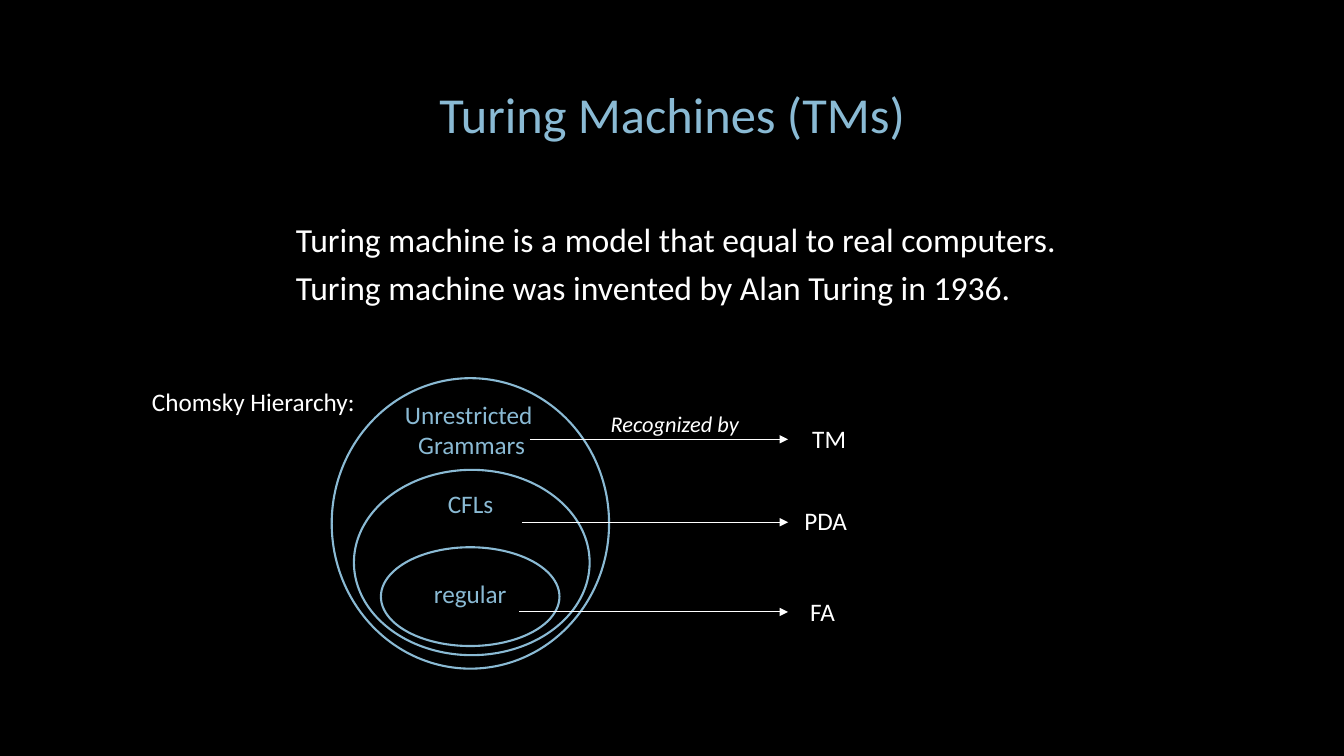
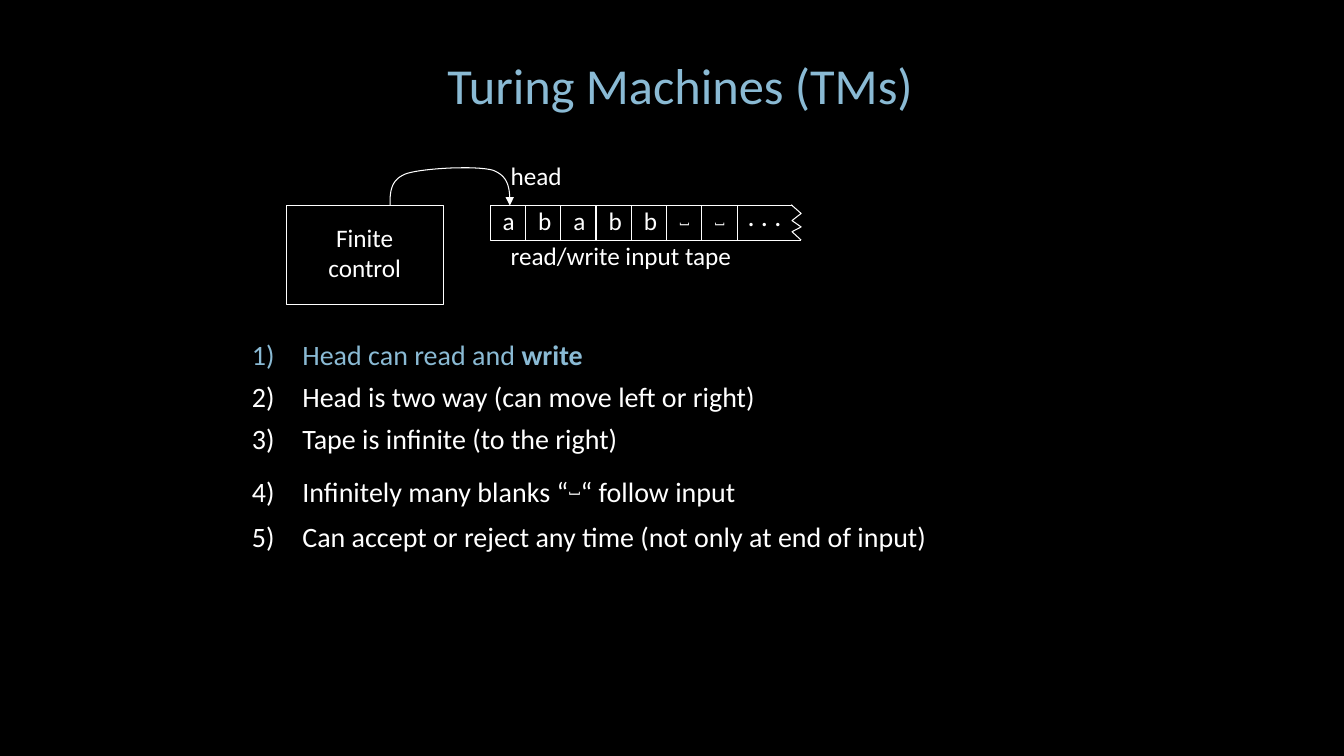
"""Build two slides that introduce Turing machines."""
from dataclasses import dataclass
from typing import Optional, Sequence

from lxml.etree import SubElement
from pptx import Presentation
from pptx.dml.color import RGBColor
from pptx.enum.shapes import MSO_CONNECTOR, MSO_SHAPE
from pptx.enum.text import MSO_ANCHOR, MSO_AUTO_SIZE, PP_ALIGN
from pptx.oxml.ns import qn
from pptx.util import Cm, Pt

COLOURS = {"background": "000000", "accent": "8ABAD4", "text": "FFFFFF"}
FONT = "Calibri"
TITLE = "Turing Machines (TMs)"
LINE_HEIGHT = 1.02
Point = tuple[float, float]


@dataclass(frozen=True)
class Span:
    """A run of text with its look."""
    text: str
    size: float = 18
    colour: str = "text"
    bold: bool = False
    italic: bool = False
    raised: bool = False


@dataclass(frozen=True)
class Frame:
    """A rectangle in centimetres."""
    left: float
    top: float
    width: float
    height: float = LINE_HEIGHT

    def lengths(self) -> tuple:
        """Return the four lengths for python-pptx."""
        return Cm(self.left), Cm(self.top), Cm(self.width), Cm(self.height)


@dataclass(frozen=True)
class Language:
    """A language class: its ellipse, its name and the machine that accepts it."""
    ellipse: Frame
    name: str
    name_frame: Frame
    arrow_start: Point
    machine: str
    machine_frame: Frame


ARROW_END = 19.86
LANGUAGES = (
    Language(Frame(8.36, 9.53, 6.99, 7.32), "Unrestricted \nGrammars",
             Frame(9.93, 9.93, 3.91, 1.8), (13.36, 11.07), "TM", Frame(20.22, 10.54, 1.37)),
    Language(Frame(8.92, 11.84, 5.94, 4.67), "CFLs",
             Frame(11.02, 12.19, 1.68), (13.16, 13.16), "PDA", Frame(20.02, 12.62, 1.6)),
    Language(Frame(9.6, 13.79, 4.5, 2.49), "regular",
             Frame(10.67, 14.45, 2.36), (13.08, 15.42), "FA", Frame(20.17, 14.91, 1.14)),
)

TAPE_LEFT, TAPE_TOP, TAPE_BOTTOM, CELL = 12.35, 5.18, 6.07, 0.89
TAPE_SYMBOLS = "ababb˽˽"
TORN_EDGE = ((20.19, 6.05), (19.96, 5.84), (20.19, 5.72), (19.96, 5.56), (20.19, 5.38), (19.94, 5.16))
HEAD_CURVE = (
    ((9.83, 5.18), (9.83, 4.85), (9.83, 4.52), (10.26, 4.37)),
    ((10.26, 4.37), (10.69, 4.24), (11.99, 4.17), (12.42, 4.29)),
    ((12.42, 4.29), (12.85, 4.45), (12.85, 4.8), (12.85, 5.18)),
)

FEATURES = (
    (Span("Head can read and ", 20, "accent"), Span("write", 20, "accent", bold=True)),
    (Span("Head is two way (can move left or right)", 20),),
    (Span("Tape is infinite (to the right)", 20),),
    (Span("Infinitely many blanks “", 20), Span("˽", 28, raised=True), Span("“ follow input", 20)),
    (Span("Can accept or reject any time (not only at end of input)", 20),),
)


def colour_of(name: str) -> RGBColor:
    """Look up a named colour."""
    return RGBColor.from_string(COLOURS[name])


def add_span(para, span: Span) -> None:
    """Add a span to a paragraph, breaking it at line ends."""
    for index, text in enumerate(span.text.split("\n")):
        if index:
            para.add_line_break()
        run = para.add_run()
        run.text = text
        font = run.font
        font.name, font.size = FONT, Pt(span.size)
        font.bold, font.italic = span.bold, span.italic
        font.color.rgb = colour_of(span.colour)
        if span.raised:
            run._r.get_or_add_rPr().set("baseline", "30000")


def add_text(page, frame: Frame, paras: Sequence[Sequence[Span]], align=PP_ALIGN.LEFT,
             wrap: bool = False, numbered: bool = False) -> None:
    """Add a text box holding paragraphs of spans."""
    box = page.shapes.add_textbox(*frame.lengths()).text_frame
    box.word_wrap = wrap
    box.auto_size = MSO_AUTO_SIZE.SHAPE_TO_FIT_TEXT
    for index, spans in enumerate(paras):
        para = box.add_paragraph() if index else box.paragraphs[0]
        para.alignment = align
        if index:
            para.space_before = Pt(6)
        if numbered:
            properties = para._p.get_or_add_pPr()
            properties.set("marL", str(Cm(1.27)))
            properties.set("indent", str(-Cm(1.27)))
            SubElement(properties, qn("a:buFont"), typeface="+mj-lt")
            SubElement(properties, qn("a:buAutoNum"), type="arabicParenR")
        for span in spans:
            add_span(para, span)


def style_line(shape, colour: str = "text", width: float = 0.75, arrow: bool = False) -> None:
    """Set the outline of a shape or connector."""
    shape.line.color.rgb = colour_of(colour)
    shape.line.width = Pt(width)
    if arrow:
        SubElement(shape.get_or_add_ln(), qn("a:tailEnd"), type="triangle")


def add_line(page, start: Point, end: Point, arrow: bool = False) -> None:
    """Add a straight line, with an arrowhead if asked."""
    line = page.shapes.add_connector(
        MSO_CONNECTOR.STRAIGHT, Cm(start[0]), Cm(start[1]), Cm(end[0]), Cm(end[1]))
    style_line(line, arrow=arrow)
    SubElement(line._element.spPr, qn("a:effectLst"))


def add_outline(page, points: Sequence[Point], arrow: bool = False) -> None:
    """Add an open, unfilled outline through the points."""
    corners = [(Cm(x), Cm(y)) for x, y in points]
    builder = page.shapes.build_freeform(*corners[0])
    builder.add_line_segments(corners[1:], close=False)
    shape = builder.convert_to_shape()
    shape.shadow.inherit = False
    shape.fill.background()
    style_line(shape, arrow=arrow)


def add_preset(page, kind, frame: Frame, colour: str, width: float):
    """Add an unfilled preset shape."""
    shape = page.shapes.add_shape(kind, *frame.lengths())
    shape.shadow.inherit = False
    shape.fill.background()
    style_line(shape, colour, width)
    return shape


def curve_points(curves, steps: int = 16) -> list[Point]:
    """Sample joined cubic curves."""
    points = [curves[0][0]]
    for curve in curves:
        for step in range(1, steps + 1):
            t = step / steps
            weights = ((1 - t) ** 3, 3 * t * (1 - t) ** 2, 3 * t * t * (1 - t), t ** 3)
            points.append(tuple(sum(w * p[axis] for w, p in zip(weights, curve)) for axis in (0, 1)))
    return points


def add_page(deck, title_left: float, title_top: float):
    """Add a black page with the shared title."""
    page = deck.slides.add_slide(deck.slide_layouts[6])
    page.background.fill.solid()
    page.background.fill.fore_color.rgb = colour_of("background")
    add_text(page, Frame(title_left, title_top, 23.47, 1.8),
             [[Span(TITLE, 36, "accent")]], PP_ALIGN.CENTER, wrap=True)
    return page


def add_label(page, frame: Frame, span: Span, align: Optional[PP_ALIGN] = PP_ALIGN.LEFT) -> None:
    """Add a label of one span."""
    add_text(page, frame, [[span]], align)


def build_hierarchy(deck) -> None:
    """Build the page with the language hierarchy."""
    page = add_page(deck, 5.21, 1.96)
    add_text(page, Frame(7.21, 5.38, 20.85, 3.76), [
        [Span("Turing machine is a model that equal to real computers.", 24)],
        [Span("Turing machine was invented by Alan Turing in 1936.", 24)],
    ], wrap=True)
    for language in LANGUAGES:
        add_preset(page, MSO_SHAPE.OVAL, language.ellipse, "accent", 1.5)
        add_label(page, language.name_frame, Span(language.name, colour="accent"), PP_ALIGN.CENTER)
        add_line(page, language.arrow_start, (ARROW_END, language.arrow_start[1]), arrow=True)
        add_label(page, language.machine_frame, Span(language.machine))
    add_label(page, Frame(15.14, 10.21, 3.78, 0.94), Span("Recognized by", 16, italic=True))
    add_label(page, Frame(3.58, 9.6, 5.69), Span("Chomsky Hierarchy:"))


def add_tape(page) -> None:
    """Draw the tape with its cells, symbols and torn end."""
    add_outline(page, ((20.19, TAPE_BOTTOM), (TAPE_LEFT, TAPE_BOTTOM),
                       (TAPE_LEFT, TAPE_TOP), (19.99, TAPE_TOP)))
    add_outline(page, TORN_EDGE)
    for index, symbol in enumerate(TAPE_SYMBOLS):
        left = TAPE_LEFT + CELL * index
        add_line(page, (left + CELL, TAPE_TOP), (left + CELL, TAPE_BOTTOM))
        if symbol == "˽":
            add_label(page, Frame(left + 0.07, 4.88, 0.81, 1.27), Span(symbol, 24, raised=True))
        else:
            add_label(page, Frame(left + 0.07, 5.04, 0.84), Span(symbol))
    add_label(page, Frame(18.59, 4.88, 1.37, 1.12), Span(". . .", 20))


def build_machine(deck) -> None:
    """Build the page with the parts of the machine."""
    page = add_page(deck, 5.41, 1.24)
    add_text(page, Frame(6.1, 8.38, 19.13, 5.56), FEATURES, wrap=True, numbered=True)
    control = add_preset(page, MSO_SHAPE.RECTANGLE, Frame(7.21, 5.18, 3.96, 2.49), "text", 0.75)
    box = control.text_frame
    box.vertical_anchor = MSO_ANCHOR.MIDDLE
    box.margin_bottom = Cm(0.25)
    box.paragraphs[0].alignment = PP_ALIGN.CENTER
    add_span(box.paragraphs[0], Span("Finite\ncontrol"))
    add_tape(page)
    add_outline(page, curve_points(HEAD_CURVE), arrow=True)
    add_label(page, Frame(12.62, 5.94, 6.15), Span("read/write input tape"))
    add_label(page, Frame(12.62, 3.91, 1.83), Span("head"))


def main() -> None:
    """Build and save the deck."""
    deck = Presentation()
    deck.slide_width, deck.slide_height = Cm(33.87), Cm(19.05)
    build_hierarchy(deck)
    build_machine(deck)
    deck.save("out.pptx")


if __name__ == "__main__":
    main()
